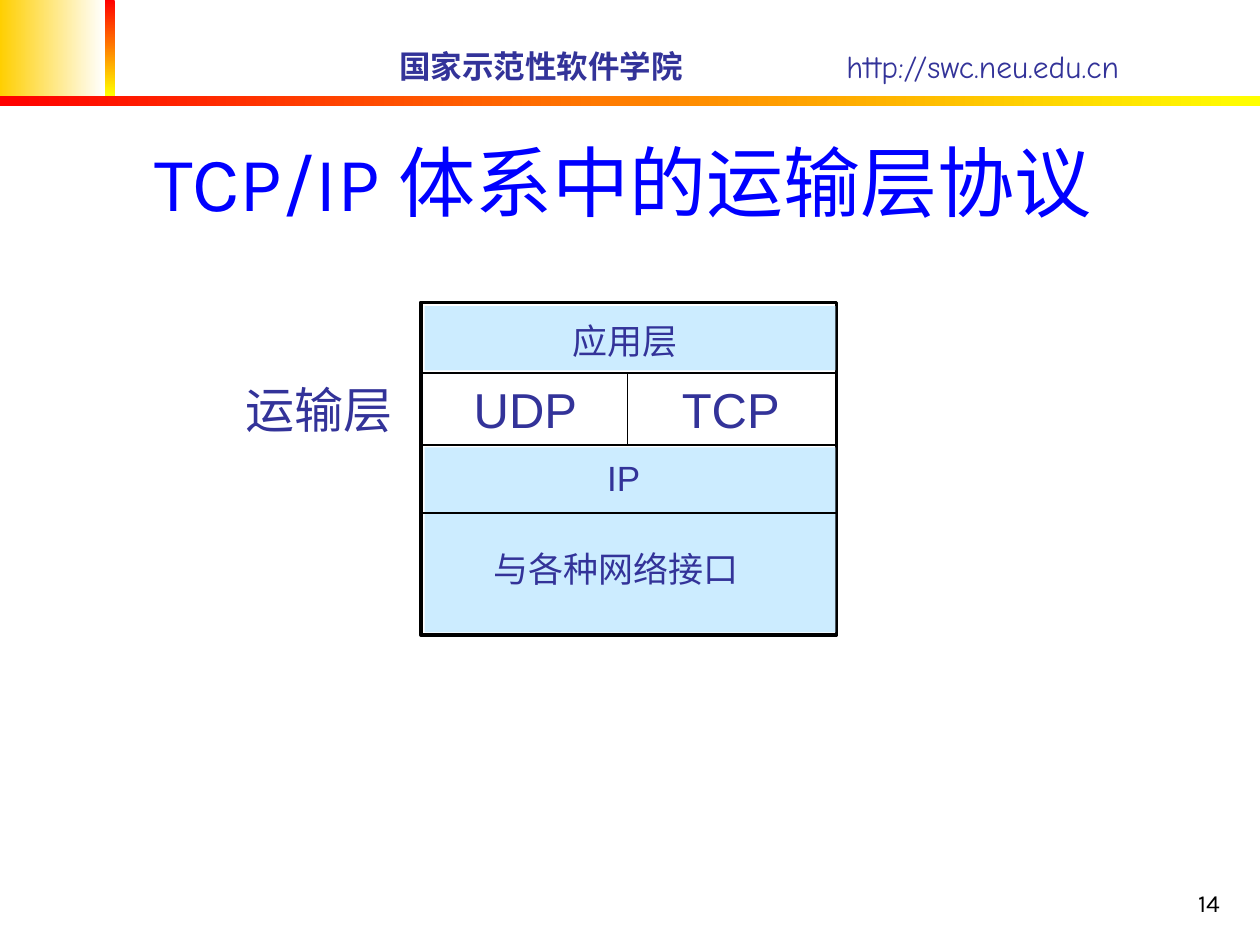
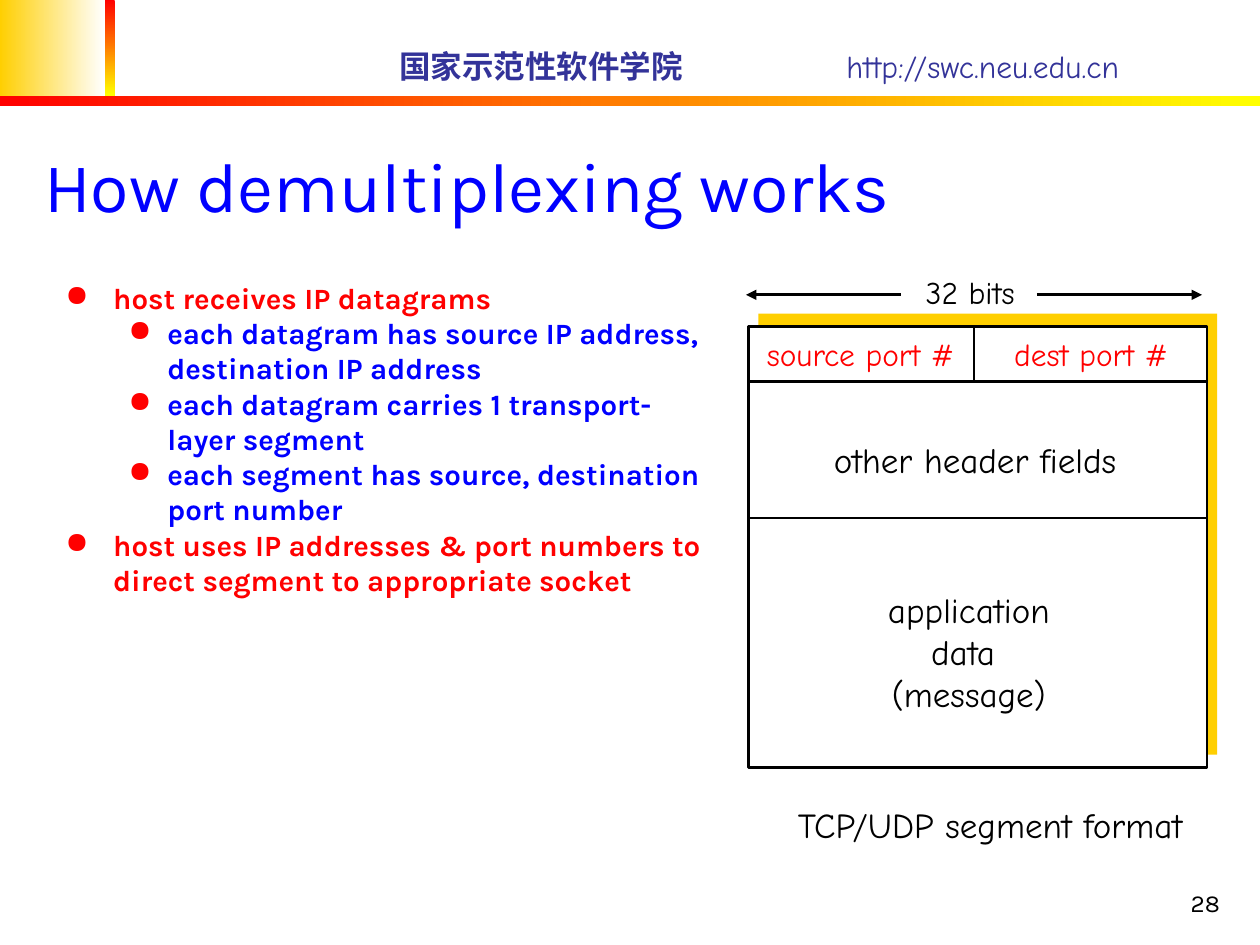
from dataclasses import dataclass
from lxml.etree import SubElement
from pptx import Presentation
from pptx.dml.color import RGBColor
from pptx.enum.shapes import MSO_CONNECTOR, MSO_SHAPE
from pptx.enum.text import MSO_ANCHOR, MSO_AUTO_SIZE, PP_ALIGN
from pptx.oxml.ns import qn
from pptx.util import Inches, Pt


@dataclass(frozen=True)
class Theme:
    white: str = "FFFFFF"
    black: str = "000000"
    gold: str = "FFCF01"
    red: str = "FF0000"
    yellow: str = "FFFF00"
    blue: str = "0000FF"
    navy: str = "333399"
    sky: str = "CCECFF"
    sans: str = "Karla"
    comic: str = "Comic Neue"
    plain: str = "Arial"
    head: float = 44
    sub: float = 40
    large: float = 28
    mid: float = 20
    small: float = 18
    list: float = 16.8
    page: float = 14


def color(code):
    return RGBColor.from_string(code)


def write(frame, text, *, size, font, tint, bold=False, align=PP_ALIGN.CENTER,
          anchor=MSO_ANCHOR.TOP, wrap=False):
    frame.word_wrap = wrap
    frame.auto_size = MSO_AUTO_SIZE.NONE
    frame.vertical_anchor = anchor
    frame.text = text
    for part in frame.paragraphs:
        part.alignment = align
        for run in part.runs:
            run.font.size = Pt(size)
            run.font.name = font
            run.font.bold = bold
            run.font.color.rgb = color(tint)


class Deck:
    def __init__(self, theme):
        self.theme = theme
        self.show = Presentation()
        self.show.slide_width = Inches(10)
        self.show.slide_height = Inches(7.5)
        self.slide = None

    def start(self, title, area, page, **style):
        look = self.theme
        self.slide = self.show.slides.add_slide(self.show.slide_layouts[5])
        self.band((0, 0, 0.83, 0.76), look.gold, look.white)
        self.band((0.83, 0, 0.08, 0.76), look.red, look.yellow, 270)
        self.band((0, 0.76, 10, 0.08), look.red, look.yellow)
        brand = dict(size=look.small, font=look.comic, tint=look.navy,
                     align=PP_ALIGN.LEFT, anchor=MSO_ANCHOR.MIDDLE)
        self.label("国家示范性软件学院", (3.07, 0.32, 2.5, 0.4), bold=True, **brand)
        self.label("http://swc.neu.edu.cn", (6.62, 0.32, 2.5, 0.4), **brand)
        self.label(page, (7.7, 6.83, 2.08, 0.5), size=look.page, font=look.sans,
                   tint=look.black, align=PP_ALIGN.RIGHT,
                   anchor=MSO_ANCHOR.BOTTOM, wrap=True)
        head = self.slide.shapes.title
        head.left, head.top, head.width, head.height = map(Inches, area)
        write(head.text_frame, title, font=look.sans, tint=look.blue,
              anchor=MSO_ANCHOR.BOTTOM, wrap=True, **style)

    def box(self, area, fill, edge=None):
        shape = self.slide.shapes.add_shape(MSO_SHAPE.RECTANGLE, *map(Inches, area))
        shape.shadow.inherit = False
        shape.fill.solid()
        shape.fill.fore_color.rgb = color(fill)
        if edge:
            shape.line.color.rgb = color(self.theme.black)
            shape.line.width = Pt(edge)
        else:
            shape.line.fill.background()
        return shape

    def band(self, area, first, last, angle=0):
        fill = self.box(area, first).fill
        fill.gradient()
        fill.gradient_angle = angle
        for stop, code, place in zip(fill.gradient_stops, (first, last), (0, 1)):
            stop.color.rgb = color(code)
            stop.position = place

    def line(self, start, end, width, arrow=False):
        ends = map(Inches, (*start, *end))
        wire = self.slide.shapes.add_connector(MSO_CONNECTOR.STRAIGHT, *ends)
        wire.line.color.rgb = color(self.theme.black)
        wire.line.width = Pt(width)
        props = wire.element.spPr
        if arrow:
            SubElement(props.find(qn("a:ln")), qn("a:tailEnd"), type="triangle")
        SubElement(props, qn("a:effectLst"))

    def label(self, text, area, **style):
        area = map(Inches, area)
        frame = self.slide.shapes.add_textbox(*area).text_frame
        write(frame, text, **style)
        return frame

    def bullets(self, items, area):
        look = self.theme
        frame = self.label("\n".join(text for _, text in items), area,
                           size=look.list, font=look.sans, tint=look.red,
                           bold=True, align=PP_ALIGN.LEFT, wrap=True)
        for part, (level, _) in zip(frame.paragraphs, items):
            left, hang = ((0.38, 0.38), (0.81, 0.31))[level]
            props = part._p.get_or_add_pPr()
            props.set("marL", str(Inches(left)))
            props.set("indent", str(-Inches(hang)))
            tint = SubElement(props, qn("a:buClr"))
            SubElement(tint, qn("a:srgbClr"), val=look.red)
            SubElement(props, qn("a:buChar"), char="●")
            part.level = level
            if level:
                part.runs[0].font.color.rgb = color(look.blue)


def stack(deck):
    look = deck.theme
    deck.start("TCP/IP 体系中的运输层协议 ", (0.25, 0.25, 9.53, 1.6), "14",
               size=look.head)
    left, right, split = 3.34, 6.64, 4.98
    deck.box((left, 2.4, right - left, 2.64), look.white, 2)
    for top, height in ((2.43, 0.51), (3.55, 1.47)):
        deck.box((3.37, top, 3.26, height), look.sky)
    for y in (2.96, 3.53, 4.07):
        deck.line((left, y), (right, y), 1)
    deck.line((split, 2.96), (split, 3.53), 1)
    for text, x, y, size, font in (
        ("应用层", 4.96, 2.49, look.mid, look.plain),
        ("UDP", 4.17, 2.96, look.large, look.plain),
        ("TCP", 5.8, 2.96, look.large, look.plain),
        ("IP", 4.95, 3.57, look.mid, look.plain),
        ("与各种网络接口", 4.89, 4.3, look.mid, look.plain),
        ("运输层", 2.53, 2.96, look.large, look.sans),
    ):
        deck.label(text, (x - 1.25, y, 2.5, 0.56), size=size, font=font,
                   tint=look.navy)


def segment(deck):
    look = deck.theme
    deck.start("How demultiplexing works", (0.25, 0.27, 9.5, 1.58), "28",
               size=look.sub, align=PP_ALIGN.LEFT)
    deck.bullets((
        (0, "host receives IP datagrams"),
        (1, "each datagram has source IP address, destination IP address"),
        (1, "each datagram carries 1 transport-layer segment"),
        (1, "each segment has source, destination port number"),
        (0, "host uses IP addresses & port numbers to direct segment to "
            "appropriate socket"),
    ), (0.42, 2.17, 5.25, 3.05))
    left, top, width, height = 5.94, 2.59, 3.64, 3.5
    deck.box((left + 0.08, top - 0.1, width, height), look.gold)
    deck.box((left, top, width, height), look.white, 1.5)
    for y in (3.03, 4.11):
        deck.line((left, y), (left + width, y), 1.5)
    deck.line((7.73, top), (7.73, 3.03), 1.5)
    for start, end in ((8.23, 9.54), (7.15, 5.92)):
        deck.line((start, 2.34), (end, 2.34), 1.5, arrow=True)
    for text, x, y, tall, size, tint in (
        ("32 bits", 7.7, 2.12, 0.4, look.small, look.black),
        ("source port #", 6.83, 2.61, 0.4, look.small, look.red),
        ("dest port #", 8.66, 2.61, 0.4, look.small, look.red),
        ("other header fields", 7.74, 3.43, 0.44, look.mid, look.black),
        ("application\ndata \n(message)", 7.69, 4.62, 1.1, look.mid, look.black),
        ("TCP/UDP segment format", 7.86, 6.33, 0.44, look.mid, look.black),
    ):
        deck.label(text, (x - 1.65, y, 3.3, tall), size=size, font=look.comic,
                   tint=tint)


def main():
    deck = Deck(Theme())
    stack(deck)
    segment(deck)
    deck.show.save("out.pptx")


if __name__ == "__main__":
    main()
